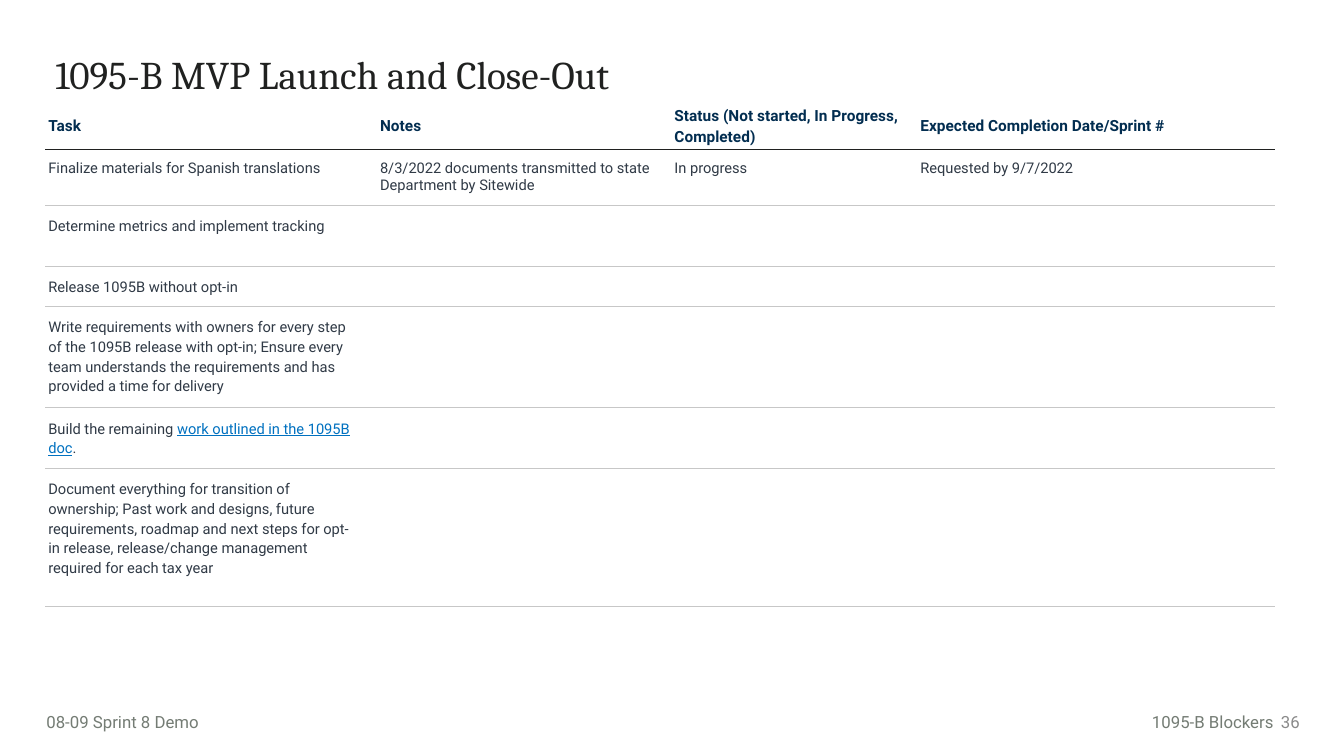
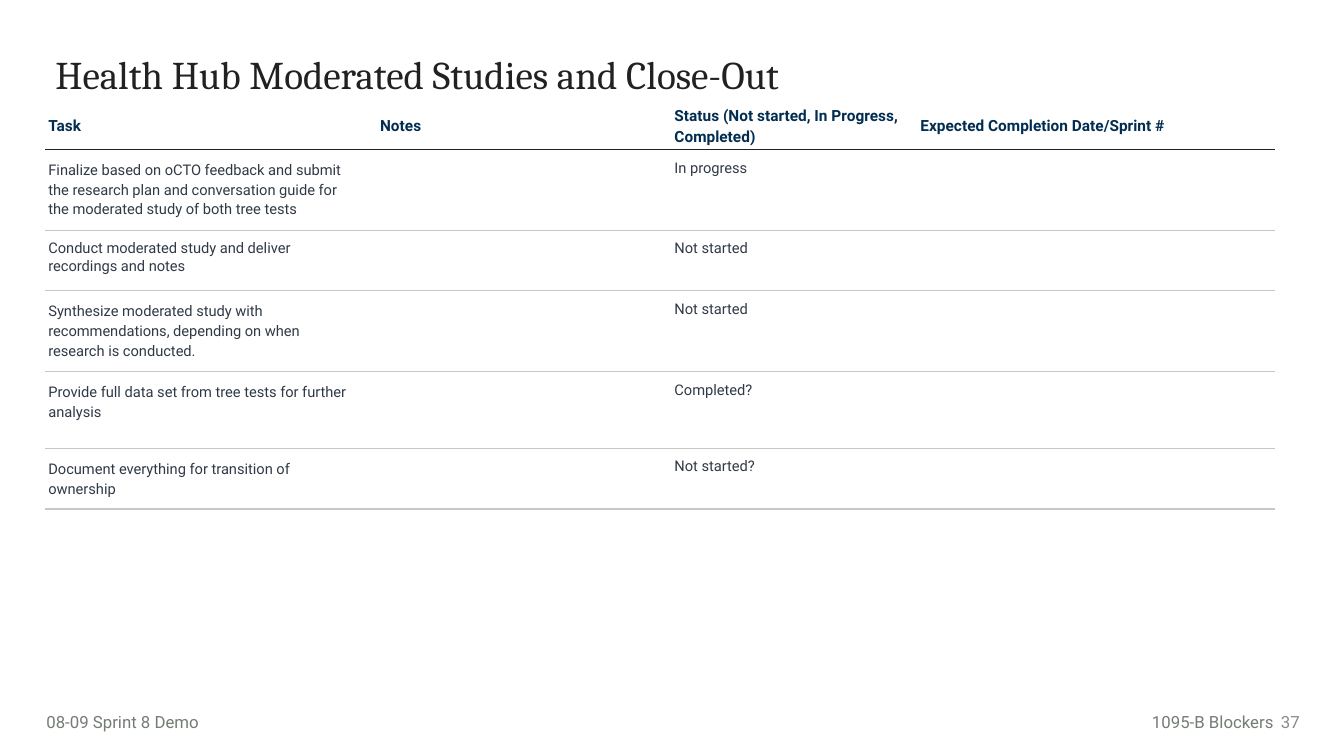
import pptx
import pptx.util
import pptx.dml.color
import pptx.enum.text
import pptx.oxml
import pptx.oxml.ns

Inches, Pt = pptx.util.Inches, pptx.util.Pt
RGB = pptx.dml.color.RGBColor
ALIGN, ANCHOR = pptx.enum.text.PP_ALIGN, pptx.enum.text.MSO_ANCHOR

INK = RGB(0x20, 0x21, 0x20)
NAVY = RGB(0x02, 0x2D, 0x50)
SLATE = RGB(0x30, 0x3A, 0x46)
BLUE = RGB(0x00, 0x71, 0xC0)
RULE = RGB(0xC7, 0xC7, 0xC7)
FOOT = RGB(0x74, 0x7C, 0x74)
GREY = RGB(0x8A, 0x8A, 0x8A)
SERIF, SANS = "Cambria", "Roboto"

HEADS = ["Task", "Notes", "Status (Not started, In Progress, Completed)",
         "Expected Completion Date/Sprint #"]
COLS = [3.29, 2.92, 2.44, 3.55]
HEAD_H = 0.46
LOOSE = 1.15
LEFT = 0.45

# Each row: height, task line spacing, cells; text between bars is underlined.
LAUNCH = [
    (0.56, 1, ["Finalize materials for Spanish translations",
               "8/3/2022 documents transmitted to state Department by Sitewide",
               "In progress", "Requested by 9/7/2022"]),
    (0.6, LOOSE, ["Determine metrics and implement tracking"]),
    (0.4, LOOSE, ["Release 1095B without opt-in"]),
    (0.98, LOOSE, ["Write requirements with owners for every step of the 1095B "
                   "release with opt-in; Ensure every team understands the "
                   "requirements and has provided a time for delivery"]),
    (0.6, LOOSE, ["Build the remaining |work outlined in the 1095B doc|."]),
    (1.37, LOOSE, ["Document everything for transition of ownership; Past work "
                   "and designs, future requirements, roadmap and next steps for "
                   "opt-in release, release/change management required for each "
                   "tax year"]),
]
STUDIES = [
    (0.78, LOOSE, ["Finalize based on oCTO feedback and submit the research plan "
                   "and conversation guide for the moderated study of both tree "
                   "tests", "", "In progress"]),
    (0.6, 1, ["Conduct moderated study and deliver recordings and notes", "",
              "Not started"]),
    (0.79, LOOSE, ["Synthesize moderated study with recommendations, depending on "
                   "when research is conducted.", "", "Not started"]),
    (0.76, LOOSE, ["Provide full data set from tree tests for further analysis",
                   "", "Completed?"]),
    (0.6, LOOSE, ["Document everything for transition of ownership", "",
                  "Not started?"]),
]
SLIDES = [
    ("1095-B MVP Launch and Close-Out", LAUNCH, 36),
    ("Health Hub Moderated Studies and Close-Out", STUDIES, 37),
]


def style(font, size, color, face=SANS, bold=False):
    font.size, font.name, font.bold = Pt(size), face, bold
    font.color.rgb = color


def inset(item, left, top, right, bottom):
    """Set the margins of a text frame or a table cell."""
    item.margin_left, item.margin_top = Inches(left), Inches(top)
    item.margin_right, item.margin_bottom = Inches(right), Inches(bottom)


def label(slide, box, text, size, color, face=SANS, align=ALIGN.LEFT,
          anchor=ANCHOR.TOP, pad=0.1, line=1):
    shape = slide.shapes.add_textbox(*map(Inches, box))
    frame = shape.text_frame
    frame.text = text
    frame.word_wrap = True
    frame.vertical_anchor = anchor
    inset(frame, pad, 0.05, 0.1, 0.05)
    para = frame.paragraphs[0]
    para.alignment, para.line_spacing = align, line
    style(para.runs[0].font, size, color, face)


def edge(cell, **lines):
    """Draw the named sides (T, B) of a cell and clear the others."""
    props = cell._tc.get_or_add_tcPr()
    for side in "LRTB":
        color = lines.get(side)
        fill = (f'<a:solidFill><a:srgbClr val="{color}"/></a:solidFill>'
                if color else "<a:noFill/>")
        props.append(pptx.oxml.parse_xml(
            f'<a:ln{side} {pptx.oxml.ns.nsdecls("a")} w="{Pt(1)}">'
            f"{fill}</a:ln{side}>"))
    cell.fill.background()


def head(cell, text, pad):
    cell.text = text
    cell.vertical_anchor = ANCHOR.MIDDLE
    inset(cell, 0.03, 0.03, pad, 0.03)
    para = cell.text_frame.paragraphs[0]
    para.line_spacing = LOOSE
    style(para.runs[0].font, 11, NAVY, bold=True)
    edge(cell, B=INK)


def body(cell, text, line, top):
    edge(cell, T=top, B=RULE)
    if not text:
        inset(cell, 0.03, 0.03, 0.03, 0.03)
        return
    inset(cell, 0.03, 0.1, 0.2, 0.1)
    para = cell.text_frame.paragraphs[0]
    para.line_spacing = line
    for i, part in enumerate(text.split("|")):
        run = para.add_run()
        run.text = part
        marked = i % 2 == 1
        style(run.font, 10.5, BLUE if marked else SLATE)
        if marked:
            run.font.underline = True


def grid(slide, left, top, rows):
    """Place the task table with its top left corner at left, top."""
    tall = [HEAD_H] + [row[0] for row in rows]
    table = slide.shapes.add_table(
        len(tall), len(COLS), Inches(left), Inches(top),
        Inches(sum(COLS)), Inches(sum(tall))).table
    table.first_row = table.horz_banding = False
    for col, width in zip(table.columns, COLS):
        col.width = Inches(width)
    for row, height in zip(table.rows, tall):
        row.height = Inches(height)
    for c, text in enumerate(HEADS):
        head(table.cell(0, c), text, 0.03 if c else 0.1)
    for r, (_, line, texts) in enumerate(rows, 1):
        for c in range(len(COLS)):
            text = texts[c] if c < len(texts) else ""
            body(table.cell(r, c), text, 1 if c else line,
                 INK if r == 1 else RULE)


def footer(slide, top, number):
    label(slide, (12.55, top - 0.05, 0.44, 0.4), str(number), 12, GREY,
          align=ALIGN.RIGHT, anchor=ANCHOR.MIDDLE)
    label(slide, (11.09, top, 1.64, 0.3), "1095-B Blockers", 12, FOOT,
          align=ALIGN.RIGHT)
    label(slide, (0.46, top, 2.98, 0.3), "08-09 Sprint 8 Demo", 12, FOOT, pad=0)


def page(deck, title, rows, number):
    slide = deck.slides.add_slide(deck.slide_layouts[6])
    label(slide, (LEFT, 0.5, 8.81, 1.45), title, 28, INK, SERIF, line=0.9)
    grid(slide, LEFT, 1, rows)
    footer(slide, 7.01, number)


def main():
    deck = pptx.Presentation()
    deck.slide_width, deck.slide_height = Inches(13.33), Inches(7.5)
    for title, rows, number in SLIDES:
        page(deck, title, rows, number)
    deck.save("out.pptx")


if __name__ == "__main__":
    main()
